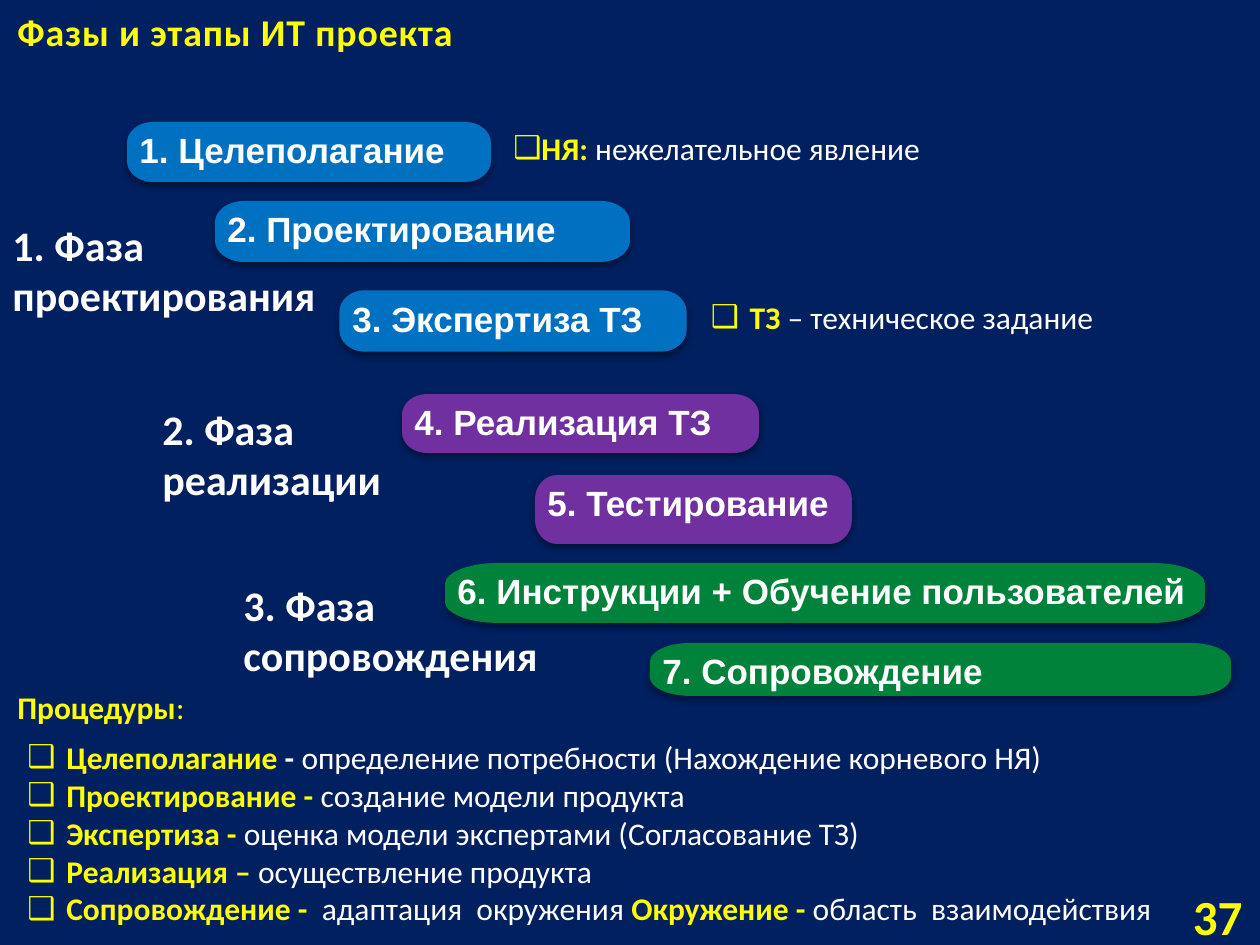
from lxml import etree
from pptx import Presentation
from pptx import util as u
from pptx.dml.color import RGBColor
from pptx.enum import shapes, text
from pptx.oxml import parse_xml
from pptx.oxml.ns import nsdecls, qn

PX = 914400 / 126  # EMU in one px
NAVY = RGBColor(0x00, 0x20, 0x60)
BLUE = RGBColor(0x00, 0x70, 0xC0)
PURPLE = RGBColor(0x70, 0x30, 0xA0)
GREEN = RGBColor(0x00, 0x82, 0x3B)
YELLOW = RGBColor(0xFF, 0xFF, 0x00)
WHITE = RGBColor(0xFF, 0xFF, 0xFF)
LEFT, CENTER, RIGHT = text.PP_ALIGN.LEFT, text.PP_ALIGN.CENTER, text.PP_ALIGN.RIGHT
SHADOW = (
    f'<a:effectLst {nsdecls("a")}><a:outerShdw blurRad="50800" dist="25400" dir="5400000" '
    'rotWithShape="0"><a:srgbClr val="000000"><a:alpha val="40000"/></a:srgbClr>'
    '</a:outerShdw></a:effectLst>'
)

prs = Presentation()
prs.slide_width, prs.slide_height = u.Inches(10), u.Inches(7.5)
s = prs.slides.add_slide(prs.slide_layouts[6])
s.background.fill.solid()
s.background.fill.fore_color.rgb = NAVY


def write(sp, paras, size=18, font="Calibri", align=LEFT, anchor=text.MSO_ANCHOR.TOP,
          indent=0, spacing=0):
    """Fill sp with paragraphs, each a list of (text, colour, bold) runs."""
    tf = sp.text_frame
    tf.word_wrap = True
    tf.vertical_anchor = anchor
    for i, runs in enumerate(paras):
        p = tf.paragraphs[0] if i == 0 else tf.add_paragraph()
        p.alignment = align
        if indent:
            pPr = p._p.get_or_add_pPr()
            pPr.set("marL", str(round(indent * PX)))
            pPr.set("indent", str(-round(indent * PX)))
            etree.SubElement(pPr, qn("a:buFont")).set("typeface", "Arial")
            etree.SubElement(pPr, qn("a:buChar")).set("char", "❑")
        for words, color, bold in runs:
            r = p.add_run()
            r.text = words
            r.font.size, r.font.name, r.font.bold = u.Pt(size), font, bold
            r.font.color.rgb = color
            if spacing:
                r._r.get_or_add_rPr().set("spc", str(spacing))


def box(x, y, w, h):
    return s.shapes.add_textbox(*(round(v * PX) for v in (x, y, w, h)))


# Stages: bars with elliptical corners
stages = [
    ("2. Проектирование", 215, 201, 415, 61, BLUE),
    ("3. Экспертиза ТЗ", 340, 291, 346, 60, BLUE),
    ("4. Реализация ТЗ", 402, 394, 357, 59, PURPLE),
    ("5. Тестирование", 535, 475, 317, 69, PURPLE),
    ("1. Целеполагание", 127, 122, 364, 60, BLUE),
    ("7. Сопровождение", 650, 643, 581, 53, GREEN),
    ("6. Инструкции + Обучение пользователей", 445, 563, 760, 60, GREEN),
]
for name, x, y, w, h, color in stages:
    rx, ry = 0.07 * w, 0.35 * h
    right, bottom = x + w, y + h
    # Where each corner curve starts, its corner, and where it ends
    corners = [
        ((right - rx, bottom), (right, bottom), (right, bottom - ry)),
        ((right, y + ry), (right, y), (right - rx, y)),
        ((x + rx, y), (x, y), (x, y + ry)),
        ((x, bottom - ry), (x, bottom), (x + rx, bottom)),
    ]
    points = []
    for start, corner, end in corners:
        handles = [tuple(a + 0.55 * (c - a) for a, c in zip(tip, corner))
                   for tip in (start, end)]
        points += [(px * PX, py * PX) for px, py in (start, *handles, end)]
    outline = s.shapes.build_freeform(*points[0])
    outline.add_line_segments(points[1:], close=True)
    sp = outline.convert_to_shape()
    # Join the three points after each start into one curve
    segments = list(sp._element.iter(qn("a:lnTo")))
    for i in range(0, 15, 4):
        first, second, last = segments[i:i + 3]
        first.tag = qn("a:cubicBezTo")
        for segment in (second, last):
            first.append(segment[0])
            segment.getparent().remove(segment)
    sp.fill.solid()
    sp.fill.fore_color.rgb = color
    sp.line.fill.background()
    if name.startswith("3"):
        sp.line.color.rgb = color
        sp.line.width = u.Pt(0.75)
    sp._element.spPr.append(parse_xml(SHADOW))
    write(sp, [[(name, WHITE, True)]], size=20, font="Arial")

# Phases
phases = [
    (["1. Фаза", "проектирования"], 0, 213, 372, 165),
    (["2. Фаза реализации"], 150, 397, 302, 115),
    (["3. Фаза сопровождения"], 231, 573, 362, 72),
]
for lines, *place in phases:
    write(box(*place), [[(line, WHITE, True)] for line in lines], size=24)

# Title and page number
write(box(5, 0, 592, 60), [[("Фазы и этапы ИТ проекта", YELLOW, True)]],
      size=21.6, anchor=text.MSO_ANCHOR.BOTTOM, spacing=50)
sp = s.shapes.add_shape(shapes.MSO_SHAPE.RECTANGLE,
                        *(round(v * PX) for v in (1126, 891, 129, 50)))
sp.shadow.inherit = False
sp.fill.solid()
sp.fill.fore_color.rgb = NAVY
sp.line.fill.background()
write(sp, [[("37", YELLOW, True)]], size=28, align=RIGHT, anchor=text.MSO_ANCHOR.MIDDLE)

# Abbreviations
write(box(691, 292, 422, 51),
      [[("ТЗ", YELLOW, True), (" – техническое задание", WHITE, False)]],
      align=CENTER, indent=39)
write(box(501, 123, 464, 51),
      [[("НЯ: ", YELLOW, True), ("нежелательное явление", WHITE, False)]], indent=24)

# Procedures
write(box(5, 682, 227, 51), [[("Процедуры", YELLOW, True), (":", YELLOW, False)]])
procedures = [
    [("Целеполагание ", YELLOW, True), ("- ", WHITE, True),
     ("определение потребности (Нахождение корневого НЯ)", WHITE, False)],
    [("Проектирование - ", YELLOW, True), ("создание модели продукта", WHITE, False)],
    [("Экспертиза - ", YELLOW, True),
     ("оценка модели экспертами (Согласование ТЗ)", WHITE, False)],
    [("Реализация – ", YELLOW, True), ("осуществление продукта", WHITE, False)],
    [("Сопровождение -  ", YELLOW, True), ("адаптация  окружения ", WHITE, False),
     ("Окружение - ", YELLOW, True), ("область  взаимодействия", WHITE, False)],
]
write(box(15, 732, 1160, 204), procedures, indent=39)

prs.save("out.pptx")
